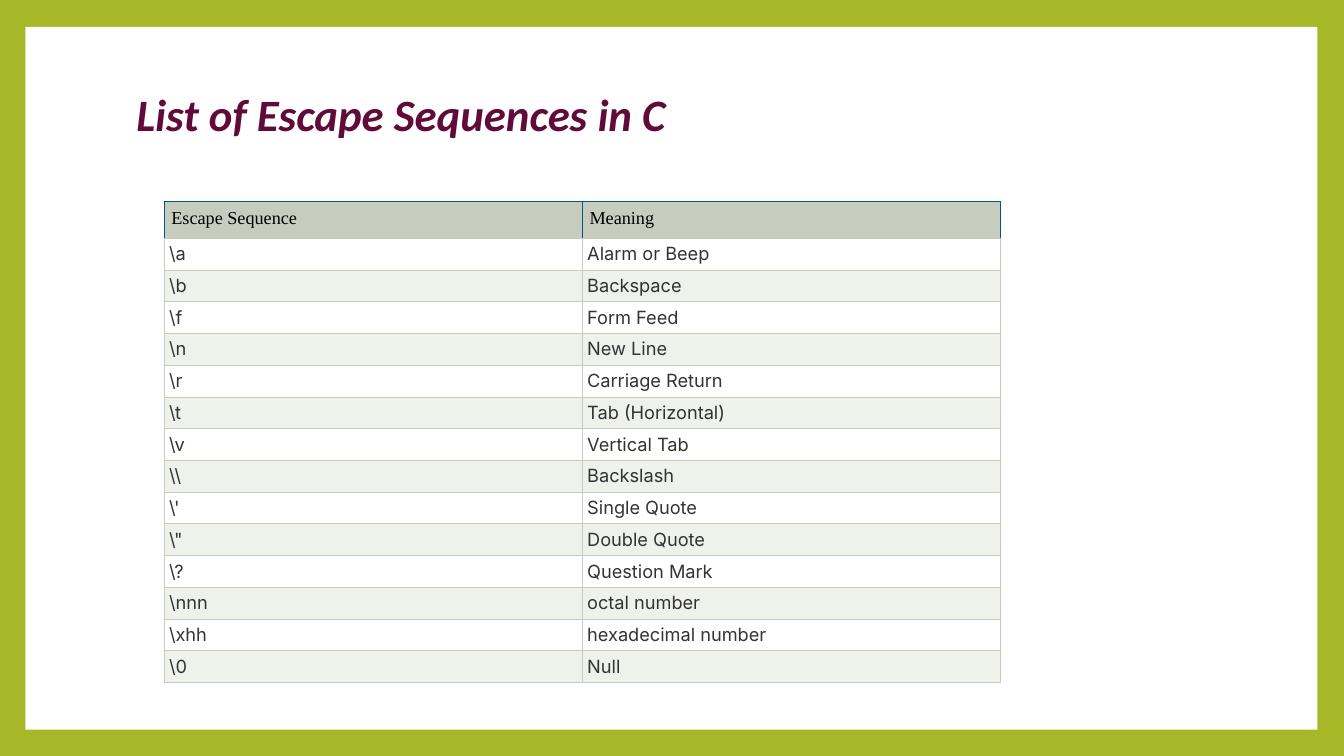
from lxml.etree import SubElement
from pptx import Presentation
from pptx.dml.color import RGBColor
from pptx.enum.shapes import MSO_SHAPE
from pptx.enum.text import MSO_ANCHOR, PP_ALIGN
from pptx.oxml.ns import qn
from pptx.util import Cm, Pt

LIME = "A6B727"
WHITE = "FFFFFF"
PLUM = "610B38"
SAGE = "C7CCBE"
PALE_SAGE = "EFF1EB"
BLUE = "005882"
BLACK = "000000"
CHARCOAL = "333333"

HEADINGS = ("Escape Sequence", "Meaning")
ESCAPES = (
    (r"\a", "Alarm or Beep"),
    (r"\b", "Backspace"),
    (r"\f", "Form Feed"),
    (r"\n", "New Line"),
    (r"\r", "Carriage Return"),
    (r"\t", "Tab (Horizontal)"),
    (r"\v", "Vertical Tab"),
    (r"\\", "Backslash"),
    (r"\'", "Single Quote"),
    (r'\"', "Double Quote"),
    (r"\?", "Question Mark"),
    (r"\nnn", "octal number"),
    (r"\xhh", "hexadecimal number"),
    (r"\0", "Null"),
)
HEADING_HEIGHT = Cm(0.92)
ESCAPE_HEIGHT = Cm(0.8)


def paint(colour_format, hex_colour):
    colour_format.rgb = RGBColor.from_string(hex_colour)


def fill_solid(fill, hex_colour):
    fill.solid()
    paint(fill.fore_color, hex_colour)


def add_run(paragraph, text, font_name, size, hex_colour):
    run = paragraph.add_run()
    run.text = text
    run.font.name = font_name
    run.font.size = Pt(size)
    paint(run.font.color, hex_colour)
    return run


def set_borders(cell, side_colour, top_colour):
    properties = cell._tc.get_or_add_tcPr()
    sides = (("lnL", side_colour), ("lnR", side_colour), ("lnT", top_colour), ("lnB", SAGE))
    for position, (side, hex_colour) in enumerate(sides):
        border = SubElement(properties, qn(f"a:{side}"), w=str(Pt(0.6)))
        solid = SubElement(border, qn("a:solidFill"))
        SubElement(solid, qn("a:srgbClr"), val=hex_colour)
        properties.insert(position, border)


def fill_cell(cell, text, font_name, text_colour, background, inset, side_colour, top_colour):
    cell.margin_left = cell.margin_right = inset
    cell.margin_top = cell.margin_bottom = inset
    cell.vertical_anchor = MSO_ANCHOR.TOP
    fill_solid(cell.fill, background)
    set_borders(cell, side_colour, top_colour)
    add_run(cell.text_frame.paragraphs[0], text, font_name, 13, text_colour)


def build_panel(slide, left, top, width, height):
    fill_solid(slide.background.fill, LIME)
    panel = slide.shapes.add_shape(MSO_SHAPE.RECTANGLE, left, top, width, height)
    panel.shadow.inherit = False
    fill_solid(panel.fill, WHITE)
    panel.line.fill.background()
    slide.shapes._spTree.insert(2, panel._element)


def build_title(slide, left, top, width, height):
    title = slide.shapes.title
    title.left, title.top, title.width, title.height = left, top, width, height
    frame = title.text_frame
    frame.word_wrap = True
    frame.vertical_anchor = MSO_ANCHOR.MIDDLE
    frame.margin_bottom = Cm(1.37)
    heading = frame.paragraphs[0]
    heading.alignment = PP_ALIGN.LEFT
    heading.line_spacing = 0.9
    run = add_run(heading, "List of Escape Sequences in C", "Calibri", 32, PLUM)
    run.font.bold = True
    run.font.italic = True


def build_escape_table(slide, left, top, width):
    height = HEADING_HEIGHT + ESCAPE_HEIGHT * len(ESCAPES)
    table = slide.shapes.add_table(
        len(ESCAPES) + 1, len(HEADINGS), left, top, width, height
    ).table
    table.first_row = True
    table.horz_banding = False
    for column in table.columns:
        column.width = width // len(HEADINGS)

    table.rows[0].height = HEADING_HEIGHT
    for cell, heading in zip(table.rows[0].cells, HEADINGS):
        fill_cell(cell, heading, "Times New Roman", BLACK, SAGE, Cm(0.18), BLUE, BLUE)
        cell.text_frame.paragraphs[0].runs[0].font.bold = False

    for number, escape in enumerate(ESCAPES, 1):
        row = table.rows[number]
        row.height = ESCAPE_HEIGHT
        background = WHITE if number % 2 else PALE_SAGE
        for cell, text in zip(row.cells, escape):
            fill_cell(cell, text, "Inter", CHARCOAL, background, Cm(0.12), SAGE, SAGE)
            cell.text_frame.paragraphs[0].alignment = PP_ALIGN.JUSTIFY


def main():
    deck = Presentation()
    deck.slide_width = Cm(33.87)
    deck.slide_height = Cm(19.05)
    slide = deck.slides.add_slide(deck.slide_layouts[5])
    build_panel(slide, Cm(0.64), Cm(0.68), Cm(32.56), Cm(17.71))
    build_title(slide, Cm(3.18), Cm(1.7), Cm(27.43), Cm(3.76))
    build_escape_table(slide, Cm(4.14), Cm(5.08), Cm(21.08))
    deck.save("out.pptx")


if __name__ == "__main__":
    main()
